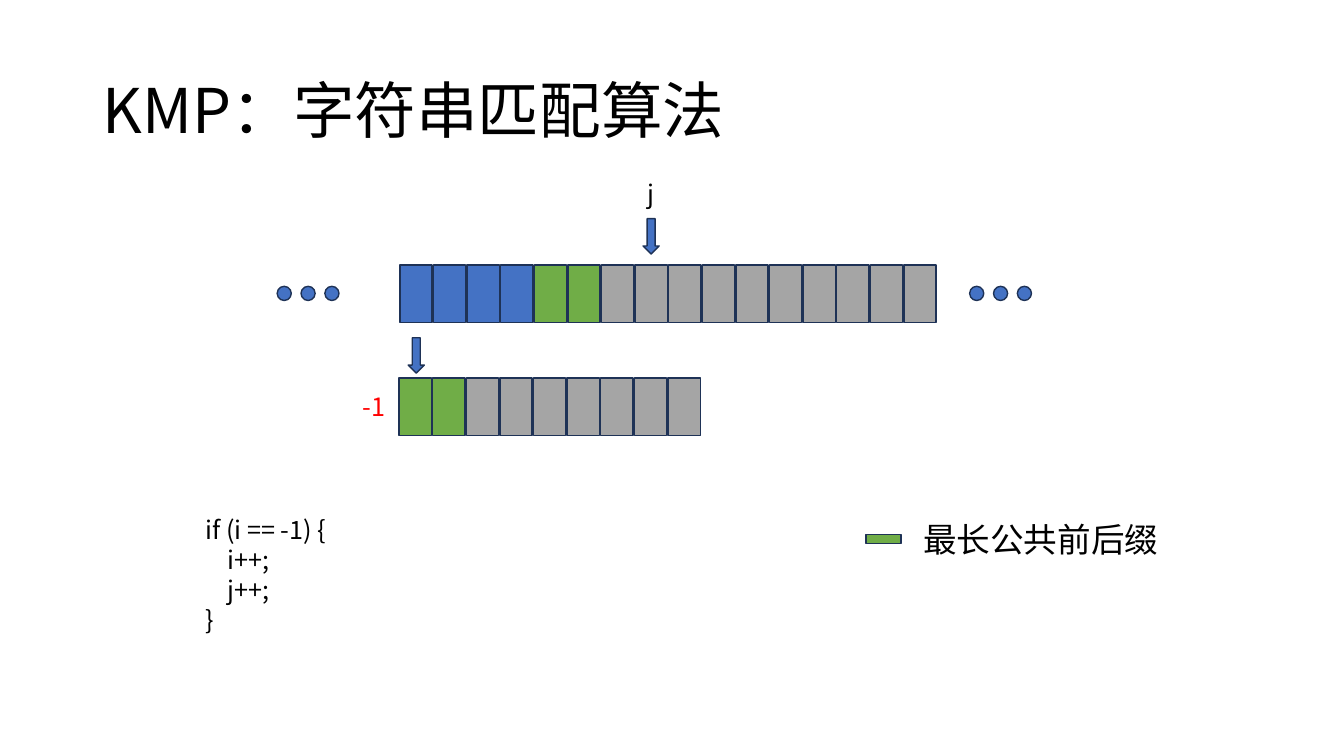
"""Build a slide on the KMP string matching algorithm."""
from lxml.etree import SubElement
from pptx import Presentation
from pptx.dml.color import RGBColor
from pptx.enum.shapes import MSO_SHAPE as Shape
from pptx.enum.text import MSO_ANCHOR as Anchor
from pptx.oxml.ns import qn
from pptx.util import Inches, Pt

COLORS = {"blue": "4472C4", "green": "70AD47", "gray": "A5A5A5",
          "edge": "1E3256", "black": "000000", "red": "FF0000"}
FONT = "Noto Sans CJK SC"
GRID = 40
CODE_INDENT = 0.67

TITLE = ("KMP：字符串匹配算法", (2.76, 2.13, 34.5, 7.73))
LABELS = [
    (["最长公共前后缀"], (27.18, 27.2, 7.68, 2.67), 24, "black"),
    (["j"], (18.99, 9.17, 0.78, 2.13), 18, "black"),
    (["-1"], (10.5, 20.43, 1.38, 2.13), 18, "red"),
    (["if (i == -1) {", "\ti++;", "\tj++;", "}"],
     (5.82, 26.93, 4.44, 6.99), 18, "black"),
]
STRIPS = [
    (11.9, 14.03, [("blue", 4), ("green", 2), ("gray", 10)]),
    (11.88, 20, [("green", 2), ("gray", 7)]),
]
CELL = (0.96, 3.04)
DOT_STARTS = (8.25, 28.86)
DOT_TOP, DOT_STEP, DOT = 15.15, 0.71, (0.42, 0.75)
ARROWS = [(19.14, 11.57), (12.15, 17.87)]
ARROW = (0.48, 1.87)
SWATCH = (25.77, 28.27, 1.05, 0.48)

deck = Presentation()
deck.slide_width, deck.slide_height = Inches(40 / 3), Inches(7.5)
page = deck.slides.add_slide(deck.slide_layouts[6])
column, row = deck.slide_width / GRID, deck.slide_height / GRID


def place(left, top, width, height):
    return (round(left * column), round(top * row),
            round(width * column), round(height * row))


def add_figure(shapes, kind, area, color):
    figure = shapes.add_shape(kind, *place(*area))
    figure.shadow.inherit = False
    figure.fill.solid()
    figure.fill.fore_color.rgb = RGBColor.from_string(COLORS[color])
    figure.line.color.rgb = RGBColor.from_string(COLORS["edge"])
    figure.line.width = Pt(1)


def add_text(lines, area, size, color, spacing, wrap=False):
    box = page.shapes.add_textbox(*place(*area))
    frame = box.text_frame
    frame.word_wrap = wrap
    for index, line in enumerate(lines):
        para = frame.paragraphs[0] if index == 0 else frame.add_paragraph()
        para.text = line.lstrip("\t")
        para.line_spacing = spacing
        if line.startswith("\t"):
            para._p.get_or_add_pPr().set("marL", str(round(CODE_INDENT * column)))
        for span in para.runs:
            span.font.size = Pt(size)
            span.font.name = FONT
            span.font.color.rgb = RGBColor.from_string(COLORS[color])
            SubElement(span.font._element, qn("a:ea")).set("typeface", FONT)
    return frame


title, title_area = TITLE
add_text([title], title_area, 44, "black", 0.9, True).vertical_anchor = Anchor.MIDDLE

for left, top, parts in STRIPS:
    cells = [color for color, count in parts for _ in range(count)]
    for index, color in enumerate(cells):
        add_figure(page.shapes, Shape.RECTANGLE, (left + index, top, *CELL), color)

for start in DOT_STARTS:
    dots = page.shapes.add_group_shape()
    for index in range(3):
        add_figure(dots.shapes, Shape.OVAL,
                   (start + index * DOT_STEP, DOT_TOP, *DOT), "blue")

for corner in ARROWS:
    add_figure(page.shapes, Shape.DOWN_ARROW, (*corner, *ARROW), "blue")

add_figure(page.shapes, Shape.RECTANGLE, SWATCH, "green")
for lines, area, size, color in LABELS:
    add_text(lines, area, size, color, Pt(size * 1.2))

deck.save("out.pptx")
